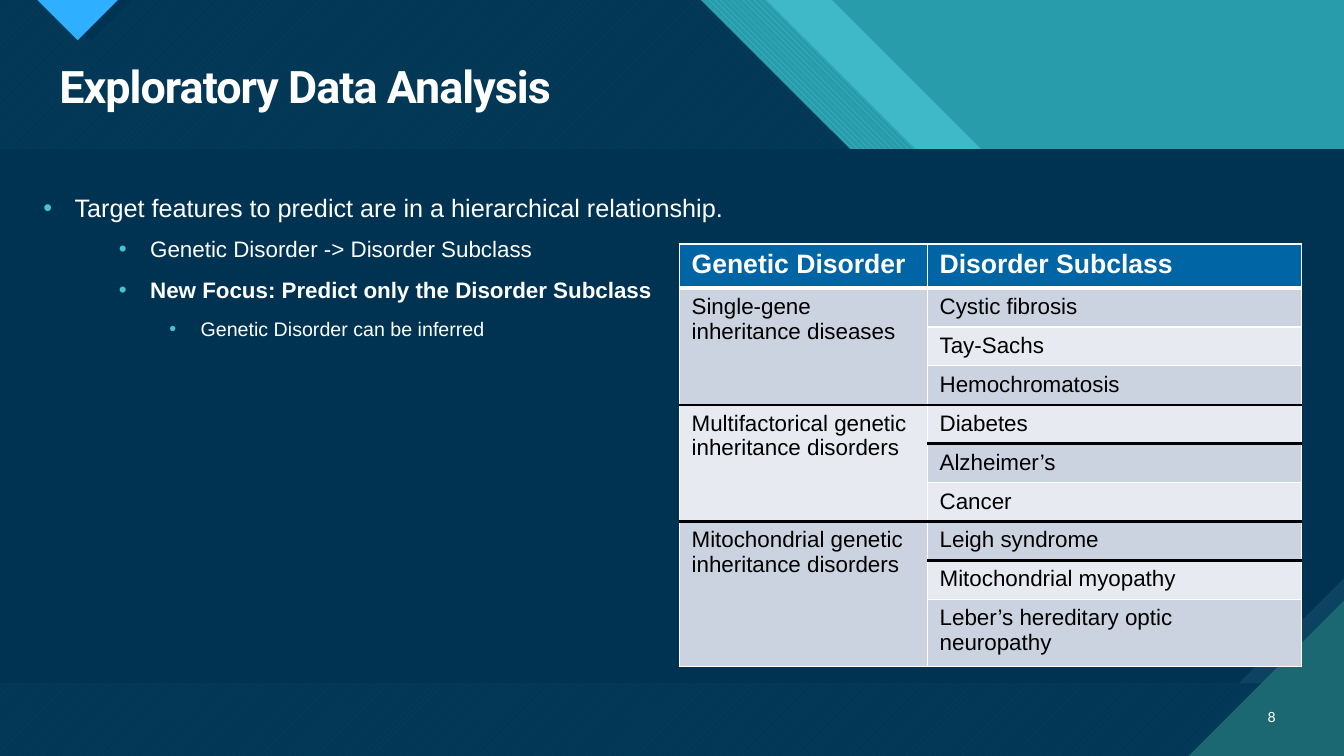
import pptx
import pptx.util
import pptx.dml.color
import pptx.enum.dml
import pptx.enum.shapes
import pptx.enum.text
import pptx.oxml
import pptx.oxml.ns

Inches, Pt = pptx.util.Inches, pptx.util.Pt
qn = pptx.oxml.ns.qn
PATTERN = pptx.enum.dml.MSO_PATTERN
ALIGN = pptx.enum.text.PP_ALIGN
ANCHOR = pptx.enum.text.MSO_ANCHOR

COLORS = {
    "teal": "299CAB", "aqua": "47C3D3", "deep": "1B6872", "navy": "003352",
    "steel": "0C4360", "sky": "2FAFFF", "header": "0065A4",
    "band": "CCD3E0", "pale": "E7EAF0", "white": "FFFFFF", "black": "000000",
}
W, H = 13.33, 7.5
BAND_TOP, BAND_HEIGHT = 1.48, 5.3

TITLE = "Exploratory Data Analysis"
BULLETS = [
    ("Target features to predict are in a hierarchical relationship.", 0, 18, False),
    ("Genetic Disorder -> Disorder Subclass", 1, 16, False),
    ("New Focus: Predict only the Disorder Subclass", 1, 16, True),
    ("Genetic Disorder can be inferred", 2, 14, False),
]
INDENTS = [0.31, 1.06, 1.56]
SPACING = [(3, 3), (6, 4), (6, 4)]
HEADERS = ["Genetic Disorder", "Disorder Subclass"]
GROUPS = [
    ("Single-gene inheritance diseases",
     ["Cystic fibrosis", "Tay-Sachs", "Hemochromatosis"]),
    ("Multifactorical genetic inheritance disorders",
     ["Diabetes", "Alzheimer’s", "Cancer"]),
    ("Mitochondrial genetic inheritance disorders",
     ["Leigh syndrome", "Mitochondrial myopathy", "Leber’s hereditary optic neuropathy"]),
]
COL_WIDTHS = [2.46, 3.71]
TABLE_HEIGHT, HEAD_HEIGHT, LAST_HEIGHT = 4.17, 0.42, 0.66
ROW_HEIGHT = (TABLE_HEIGHT - HEAD_HEIGHT - LAST_HEIGHT) / 8
ROW_HEIGHTS = [HEAD_HEIGHT] + [ROW_HEIGHT] * 8 + [LAST_HEIGHT]
RULED_TOPS = [{4, 7}, {4, 5, 7, 8}]


def rgb(name):
    return pptx.dml.color.RGBColor.from_string(COLORS[name])


def paint(s, color, alpha=None, pattern=None, back=None):
    s.shadow.inherit = False
    s.line.fill.background()
    if pattern:
        s.fill.patterned()
        s.fill.pattern = pattern
        s.fill.fore_color.rgb, s.fill.back_color.rgb = rgb(color), rgb(back)
        return
    s.fill.solid()
    s.fill.fore_color.rgb = rgb(color)
    if alpha:
        clr = s._element.spPr.find(qn("a:solidFill"))[0]
        clr.append(pptx.oxml.parse_xml(
            f'<a:alpha {pptx.oxml.ns.nsdecls("a")} val="{alpha * 1000}"/>'))


def polygon(points, color, **look):
    points = [(Inches(x), Inches(y)) for x, y in points]
    fb = shapes.build_freeform(*points[0])
    fb.add_line_segments(points[1:], close=True)
    paint(fb.convert_to_shape(), color, **look)


def slanted(edge, step, rise):
    right = W - rise + 2.97
    return [(0, 0), (edge, 0), (edge + 2.97, 2.97), (edge + step, 2.97),
            (W, right), (W, H), (0, H)]


def write(p, text, size, font="Arial", color="white", bold=False):
    r = p.add_run()
    r.text = text
    r.font.color.rgb = rgb(color)
    for key, value in {"size": Pt(size), "name": font, "bold": bold}.items():
        setattr(r.font, key, value)
    return r


def text_box(x, y, w, h, **frame):
    tf = shapes.add_textbox(*map(Inches, (x, y, w, h))).text_frame
    for key, value in {"word_wrap": True, **frame}.items():
        setattr(tf, key, value)
    return tf


def border(cell, **edges):
    tcPr = cell._tc.get_or_add_tcPr()
    for side in "LRTB":
        color, width = edges.get(side, ("white", 1))
        tcPr.append(pptx.oxml.parse_xml(
            f'<a:ln{side} {pptx.oxml.ns.nsdecls("a")} w="{Pt(width)}"><a:solidFill>'
            f'<a:srgbClr val="{COLORS[color]}"/></a:solidFill></a:ln{side}>'))


def fill_cell(row, col, text, last=None):
    def edge(line):
        if line == 1:
            return "white", 3
        return ("black", 2.25) if line in RULED_TOPS[col] else ("white", 1)

    cell = table.cell(row, col)
    if last:
        cell.merge(table.cell(last, col))
    border(cell, T=edge(row), B=edge((last or row) + 1))
    cell.fill.solid()
    cell.fill.fore_color.rgb = rgb("header" if row == 0 else "band" if row % 2 else "pale")
    for key, value in {"margin_left": 0.12, "margin_right": 0.12,
                       "margin_top": 0.06, "margin_bottom": 0.06}.items():
        setattr(cell, key, Inches(value))
    p = cell.text_frame.paragraphs[0]
    if row == 0:
        write(p, text, 19, bold=True)
    else:
        write(p, text, 16, color="black")


prs = pptx.Presentation()
prs.slide_width, prs.slide_height = Inches(W), Inches(H)
slide = prs.slides.add_slide(prs.slide_layouts[6])
shapes = slide.shapes
slide.background.fill.solid()
slide.background.fill.fore_color.rgb = rgb("teal")

polygon(slanted(8.25, 4.09, 12.34), "aqua", alpha=74)
polygon(slanted(7.6, 4.24, 11.84), "aqua",
        pattern=PATTERN.WIDE_DOWNWARD_DIAGONAL, back="teal")
polygon(slanted(6.95, 4.23, 11.18), "aqua",
        pattern=PATTERN.WIDE_UPWARD_DIAGONAL, back="deep")
polygon(slanted(6.95, 4.23, 11.18), "navy", alpha=90)
polygon([(0.48, 0), (0.9, 0.41), (1.31, 0)], "navy")
polygon([(0.37, 0), (0.77, 0.4), (1.17, 0)], "sky")

for color, snip in [("steel", 0), ("navy", 0.197)]:
    s = shapes.add_shape(pptx.enum.shapes.MSO_SHAPE.SNIP_1_RECTANGLE,
                         0, Inches(BAND_TOP), Inches(W), Inches(BAND_HEIGHT))
    s.adjustments[0] = snip
    s._element.spPr.find(qn("a:xfrm")).set("flipV", "1")
    paint(s, color)
polygon([(11.79, H), (W, H), (W, 5.96)], "deep")

tf = text_box(0.49, 0.59, 12.26, 0.59)
p = tf.paragraphs[0]
p.line_spacing = 0.9
r = write(p, TITLE, 32, font="Roboto", bold=True)
r.font._element.set("spc", "-70")

tf = text_box(0.43, 1.91, 12.32, 5.2, margin_left=0, margin_right=0,
              margin_top=0, margin_bottom=0)
for i, (text, level, size, bold) in enumerate(BULLETS):
    p = tf.add_paragraph() if i else tf.paragraphs[0]
    p.level = level
    p.space_before, p.space_after = map(Pt, SPACING[level])
    pPr = p._p.get_or_add_pPr()
    pPr.set("marL", str(Inches(INDENTS[level])))
    pPr.set("indent", str(Inches(-0.31)))
    for tag, body in [("buClr", f'><a:srgbClr val="{COLORS["aqua"]}"/></a:buClr>'),
                      ("buFont", ' typeface="Arial"/>'), ("buChar", ' char="•"/>')]:
        pPr.append(pptx.oxml.parse_xml(f'<a:{tag} {pptx.oxml.ns.nsdecls("a")}{body}'))
    write(p, text, size, bold=bold)

tf = text_box(12.31, 6.91, 0.44, 0.4, vertical_anchor=ANCHOR.MIDDLE)
tf.paragraphs[0].alignment = ALIGN.RIGHT
write(tf.paragraphs[0], "8", 10, font="Lato")

table = shapes.add_table(len(ROW_HEIGHTS), len(COL_WIDTHS), Inches(6.74), Inches(2.42),
                         Inches(sum(COL_WIDTHS)), Inches(TABLE_HEIGHT)).table
table.horz_banding = False
for column, width in zip(table.columns, COL_WIDTHS):
    column.width = Inches(width)
for row, height in zip(table.rows, ROW_HEIGHTS):
    row.height = Inches(height)
for col, text in enumerate(HEADERS):
    fill_cell(0, col, text)
top = 1
for disorder, subclasses in GROUPS:
    fill_cell(top, 0, disorder, last=top + len(subclasses) - 1)
    for row, subclass in enumerate(subclasses, top):
        fill_cell(row, 1, subclass)
    top += len(subclasses)

prs.save("out.pptx")
